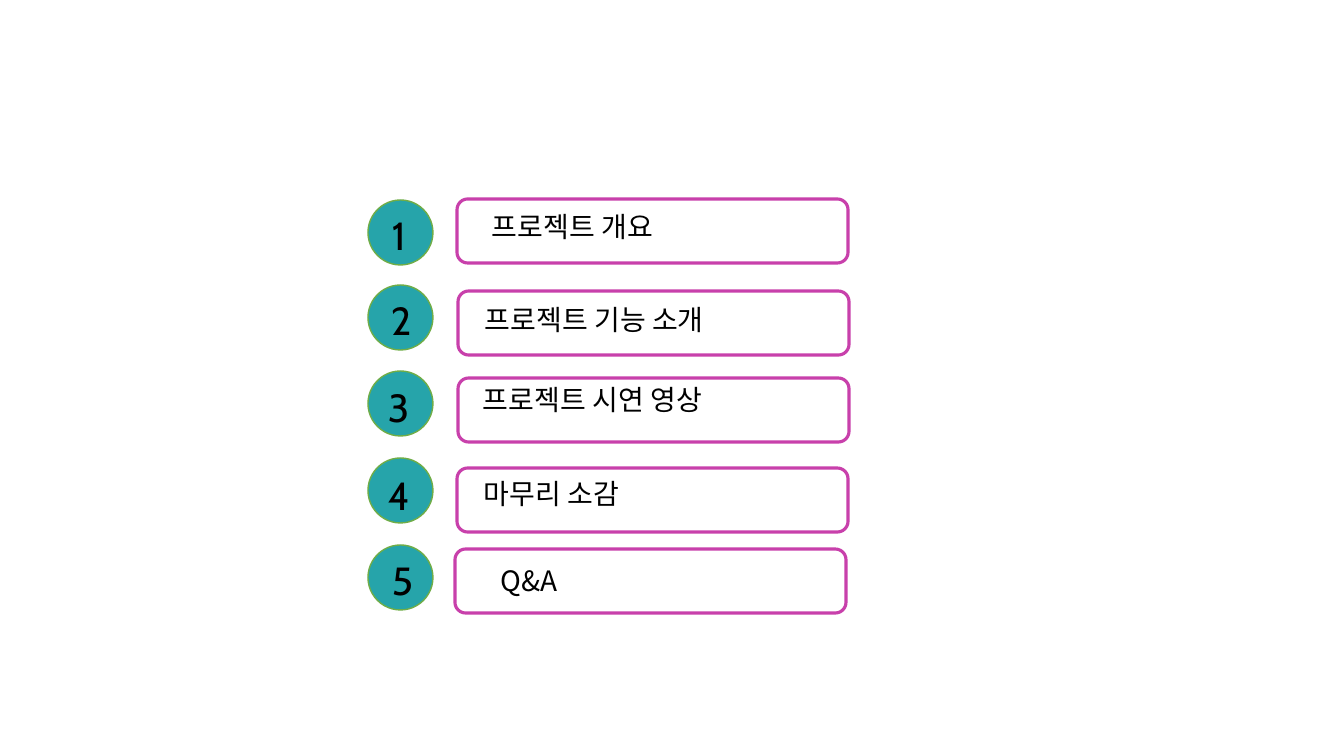
from lxml import etree
from pptx import Presentation
from pptx.dml.color import RGBColor
from pptx.enum.shapes import MSO_SHAPE as SHAPE
from pptx.enum.text import MSO_AUTO_SIZE as AUTO
from pptx.oxml.ns import qn
from pptx.util import Emu, Pt

PX = 914400 / 100.8
COLORS = {"teal": "26A4AA", "green": "70AD47", "white": "FFFFFF",
          "magenta": "C840AB", "black": "000000"}

prs = Presentation()
prs.slide_width, prs.slide_height = Emu(round(1344 * PX)), Emu(round(756 * PX))
s = prs.slides.add_slide(prs.slide_layouts[6])


def add_outline(kind, box, fill, line, width):
    sp = s.shapes.add_shape(kind, *[Emu(round(v * PX)) for v in box])
    sp.shadow.inherit = False
    sp.fill.solid()
    sp.fill.fore_color.rgb = RGBColor.from_string(COLORS[fill])
    sp.line.color.rgb = RGBColor.from_string(COLORS[line])
    sp.line.width = Pt(width)


def add_text(text, box, font, size):
    sp = s.shapes.add_textbox(*[Emu(round(v * PX)) for v in box])
    tf = sp.text_frame
    for name, value in {"word_wrap": True, "auto_size": AUTO.SHAPE_TO_FIT_TEXT}.items():
        setattr(tf, name, value)
    r = tf.paragraphs[0].add_run()
    r.text = text
    for name, value in {"name": font, "size": Pt(size)}.items():
        setattr(r.font, name, value)
    r.font.color.rgb = RGBColor.from_string(COLORS["black"])
    etree.SubElement(r.font._element, qn("a:ea")).set("typeface", font)


agenda = [
    ("프로젝트 개요", 200, (382, 206), (457, 199), (482, 205, 341, 42)),
    ("프로젝트 기능 소개", 285, (381, 291), (458, 291), (475, 298, 319, 43)),
    ("프로젝트 시연 영상", 371, (378, 378), (458, 378), (473, 378, 405, 43)),
    ("마무리 소감", 458, (378, 466), (457, 468), (474, 472, 349, 43)),
    ("Q&A", 545, (382, 551), (455, 549), (491, 559, 319, 43)),
]

for number, (title, circle_y, number_at, frame_at, title_box) in enumerate(agenda, 1):
    add_outline(SHAPE.OVAL, (368, circle_y, 65, 65), "teal", "green", 1)
    add_text(str(number), (*number_at, 62, 57), "Cabin", 28)
    add_outline(SHAPE.FLOWCHART_ALTERNATE_PROCESS, (*frame_at, 391, 64),
                "white", "magenta", 2.25)
    add_text(title, title_box, "Noto Sans CJK KR", 20)

prs.save("out.pptx")
